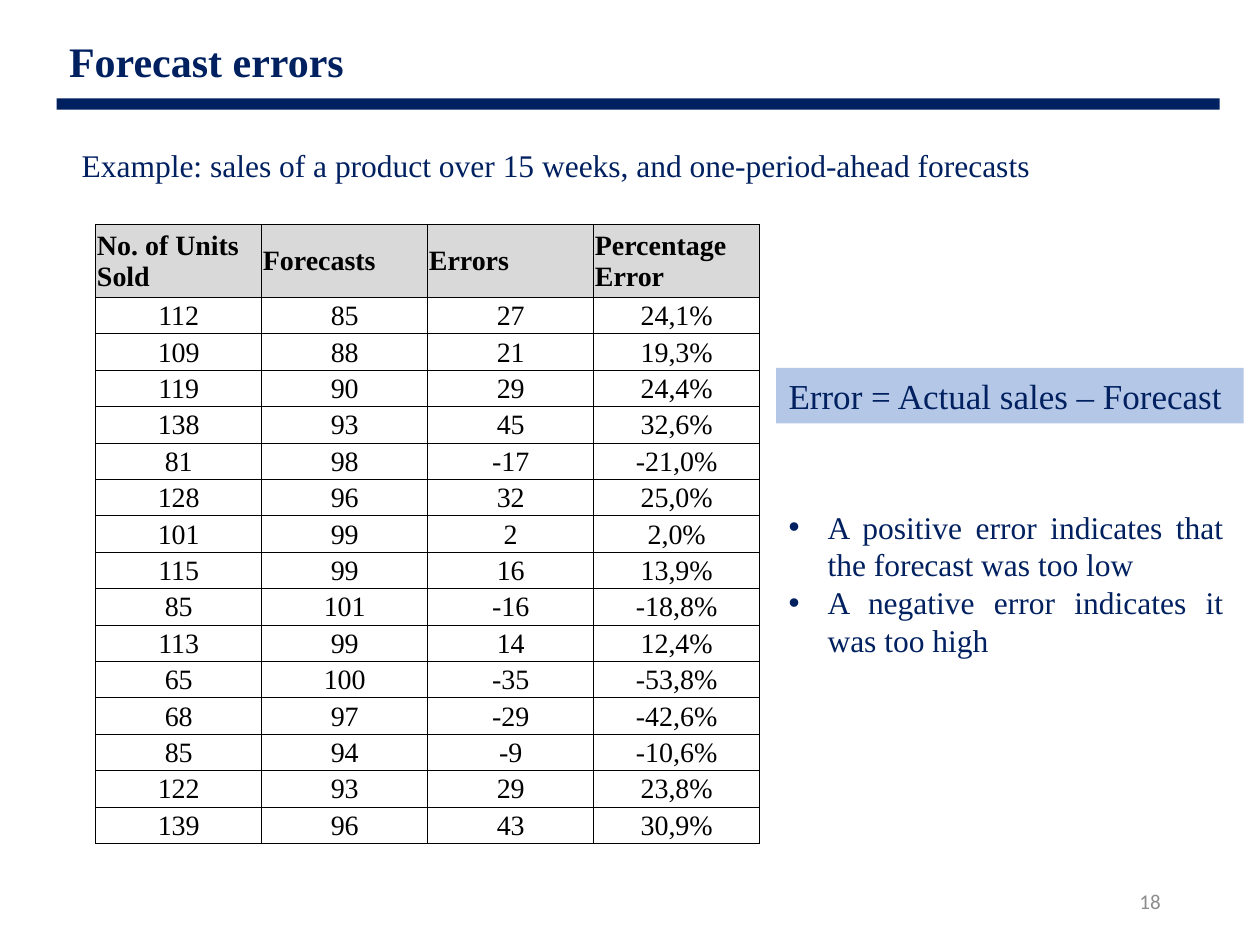
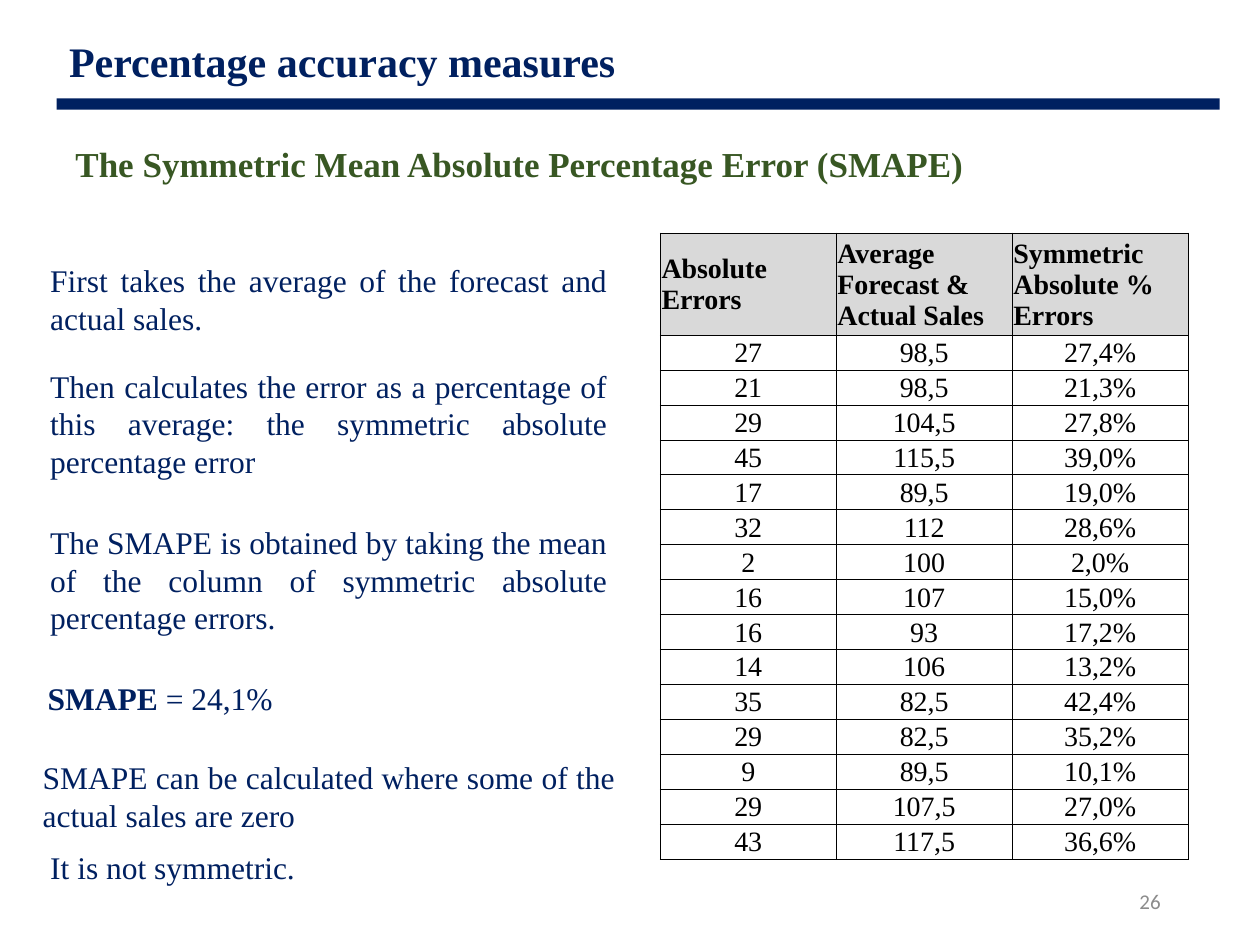
from lxml import etree
from pptx import Presentation, util as u
from pptx.dml.color import RGBColor
from pptx.enum import shapes, text
from pptx.oxml import ns

COLORS = {
    "navy": "002060",
    "green": "385723",
    "pale_blue": "B4C7E7",
    "header_gray": "D9D9D9",
    "number_gray": "8C8C8C",
    "black": "000000",
}
SERIF = "Times New Roman"
LEFT, CENTER = text.PP_ALIGN.LEFT, text.PP_ALIGN.CENTER
RIGHT, JUSTIFY = text.PP_ALIGN.RIGHT, text.PP_ALIGN.JUSTIFY

SALES = [112, 109, 119, 138, 81, 128, 101, 115, 85, 113, 65, 68, 85, 122, 139]
FORECASTS = [85, 88, 90, 93, 98, 96, 99, 99, 101, 99, 100, 97, 94, 93, 96]


def color(name):
    return RGBColor.from_string(COLORS[name])


def decimal_comma(value, pattern):
    return format(value, pattern).replace(".", ",")


def write(frame, *paragraphs, size=18, font=SERIF, ink="navy", bold=False,
          align=LEFT, anchor=text.MSO_ANCHOR.TOP, wrap=True, bullet=False,
          bold_lead=""):
    frame.word_wrap = wrap
    frame.vertical_anchor = anchor
    for index, content in enumerate(paragraphs):
        paragraph = frame.paragraphs[0] if index == 0 else frame.add_paragraph()
        paragraph.alignment = align
        if bullet:
            properties = paragraph._p.get_or_add_pPr()
            properties.set("marL", str(u.Inches(0.31)))
            properties.set("indent", str(u.Inches(-0.31)))
            bullet_font = etree.SubElement(properties, ns.qn("a:buFont"))
            bullet_font.set("typeface", "Arial")
            etree.SubElement(properties, ns.qn("a:buChar")).set("char", "•")
        for words, is_bold in ((bold_lead, True), (content, bold)):
            if words:
                run = paragraph.add_run()
                run.text = words
                run.font.size = u.Pt(size)
                run.font.name = font
                run.font.bold = is_bold
                run.font.color.rgb = color(ink)


def add_borders(cell):
    properties = cell._tc.get_or_add_tcPr()
    for side in ("lnL", "lnR", "lnT", "lnB"):
        line = etree.SubElement(properties, ns.qn(f"a:{side}"))
        line.set("w", str(u.Pt(0.5)))
        fill = etree.SubElement(line, ns.qn("a:solidFill"))
        etree.SubElement(fill, ns.qn("a:srgbClr")).set("val", COLORS["black"])


class Deck:
    def __init__(self):
        self.presentation = Presentation()
        self.presentation.slide_width = u.Inches(10)
        self.presentation.slide_height = u.Inches(7.5)
        self.slide = None

    def start_slide(self, title, number):
        blank = self.presentation.slide_layouts[6]
        self.slide = self.presentation.slides.add_slide(blank)
        self.text_box(7.06, 6.95, 2.25, 0.4, str(number), size=12,
                      font="Calibri", ink="number_gray", align=RIGHT,
                      anchor=text.MSO_ANCHOR.MIDDLE)
        self.rectangle(0.45, 0.78, 9.23, 0.09, "navy")
        self.text_box(0.45, 0.23, 7.53, 0.5, title, size=24, bold=True)

    def text_box(self, left, top, width, height, *paragraphs, **style):
        box = self.slide.shapes.add_textbox(
            *map(u.Inches, (left, top, width, height)))
        write(box.text_frame, *paragraphs, **style)

    def rectangle(self, left, top, width, height, fill, *paragraphs, **style):
        block = self.slide.shapes.add_shape(
            shapes.MSO_SHAPE.RECTANGLE,
            *map(u.Inches, (left, top, width, height)))
        block.shadow.inherit = False
        block.fill.solid()
        block.fill.fore_color.rgb = color(fill)
        block.line.fill.background()
        write(block.text_frame, *paragraphs, **style)

    def table(self, left, top, width, height, header_height, headings, records):
        rows = [headings, *records]
        table = self.slide.shapes.add_table(
            len(rows), len(headings),
            *map(u.Inches, (left, top, width, height))).table
        table.first_row = table.horz_banding = False
        record_height = (height - header_height) / len(records)
        for row_index, values in enumerate(rows):
            is_header = row_index == 0
            table.rows[row_index].height = u.Inches(
                header_height if is_header else record_height)
            for column_index, value in enumerate(values):
                cell = table.cell(row_index, column_index)
                cell.margin_left = cell.margin_right = u.Inches(0.01)
                cell.margin_top = u.Inches(0.01)
                cell.margin_bottom = 0
                cell.vertical_anchor = text.MSO_ANCHOR.MIDDLE
                add_borders(cell)
                if is_header:
                    cell.fill.solid()
                    cell.fill.fore_color.rgb = color("header_gray")
                else:
                    cell.fill.background()
                write(cell.text_frame, str(value), size=16, ink="black",
                      bold=is_header, align=LEFT if is_header else CENTER,
                      anchor=None, wrap=None)

    def save(self):
        self.presentation.save("out.pptx")


def forecast_errors(deck):
    deck.start_slide("Forecast errors", 18)
    records = [
        (sold, forecast, sold - forecast,
         decimal_comma((sold - forecast) / sold, ".1%"))
        for sold, forecast in zip(SALES, FORECASTS)
    ]
    headings = ("No. of Units Sold", "Forecasts", "Errors", "Percentage Error")
    deck.table(0.76, 1.78, 5.27, 4.92, 0.58, headings, records)
    deck.text_box(
        0.55, 1.11, 7.81, 0.4,
        "Example: sales of a product over 15 weeks, and one-period-ahead forecasts",
        wrap=False)
    deck.rectangle(6.16, 2.92, 3.71, 0.44, "pale_blue",
                   "Error = Actual sales – Forecast", size=20, align=JUSTIFY)
    deck.text_box(6.16, 3.98, 3.65, 1.31,
                  "A positive error indicates that the forecast was too low",
                  "A negative error indicates it was too high",
                  align=JUSTIFY, bullet=True)


def percentage_accuracy(deck):
    deck.start_slide("Percentage accuracy measures", 26)
    deck.text_box(0.5, 1.08, 8.11, 0.44,
                  "The Symmetric Mean Absolute Percentage Error (SMAPE)",
                  size=20, ink="green", bold=True)
    records = []
    for sold, forecast in zip(SALES, FORECASTS):
        error = abs(sold - forecast)
        average = (sold + forecast) / 2
        records.append((error, decimal_comma(average, "g"),
                        decimal_comma(error / average, ".1%")))
    headings = ("Absolute Errors", "Average Forecast & Actual Sales",
                "Symmetric Absolute % Errors")
    deck.table(5.24, 1.85, 4.19, 4.97, 0.81, headings, records)

    explanations = [
        (0.3, 2.02, 4.62, 0.71,
         "First takes the average of the forecast and actual sales."),
        (0.3, 2.86, 4.62, 1.01,
         "Then calculates the error as a percentage of this average: "
         "the symmetric absolute percentage error"),
        (0.3, 4.1, 4.62, 1.01,
         "The SMAPE is obtained by taking the mean of the column of "
         "symmetric absolute percentage errors."),
        (0.24, 5.97, 4.74, 0.71,
         "SMAPE can be calculated where some of the actual sales are zero"),
        (0.3, 6.68, 7.29, 0.4, "It is not symmetric."),
    ]
    for explanation in explanations:
        deck.text_box(*explanation, align=JUSTIFY)
    deck.text_box(0.28, 5.34, 2.01, 0.4, "= 24,1%", bold_lead="SMAPE ",
                  align=JUSTIFY, wrap=False)


def main():
    deck = Deck()
    forecast_errors(deck)
    percentage_accuracy(deck)
    deck.save()


if __name__ == "__main__":
    main()
